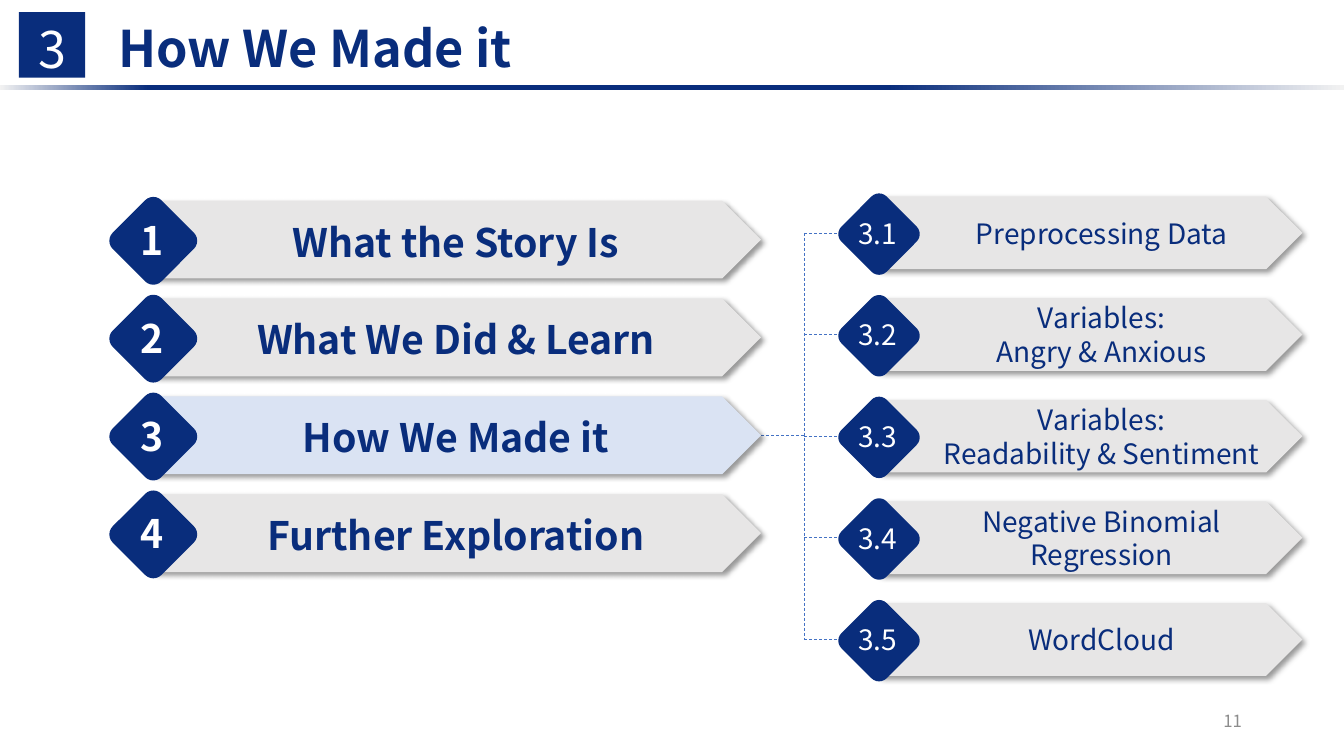
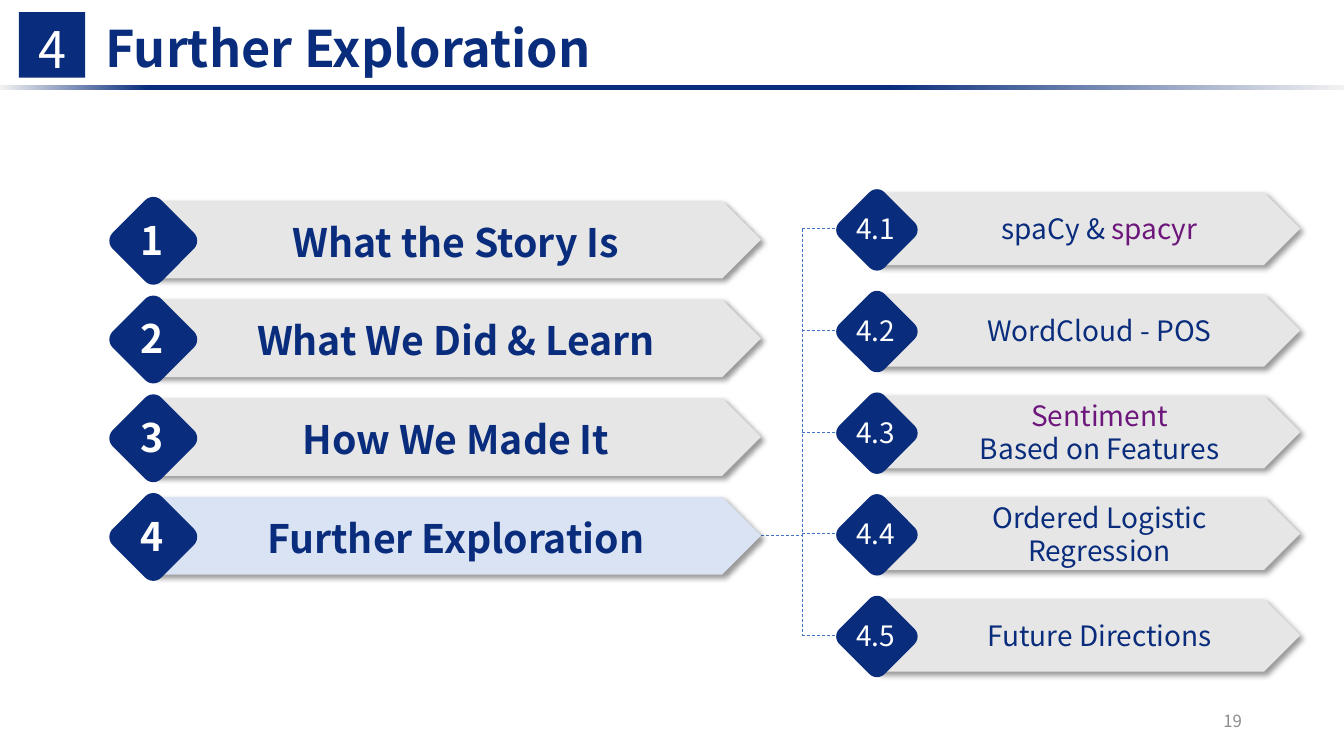
from lxml import etree
from pptx import Presentation
from pptx.dml.color import RGBColor
from pptx.enum.dml import MSO_LINE
from pptx.enum.shapes import MSO_CONNECTOR, MSO_SHAPE
from pptx.enum.text import MSO_ANCHOR, PP_ALIGN
from pptx.oxml.ns import qn
from pptx.util import Inches, Pt

RECTANGLE = MSO_SHAPE.RECTANGLE
ROUNDED = MSO_SHAPE.ROUNDED_RECTANGLE
PENTAGON = MSO_SHAPE.PENTAGON
STRAIGHT = MSO_CONNECTOR.STRAIGHT
DASH = MSO_LINE.DASH
MIDDLE = MSO_ANCHOR.MIDDLE
CENTER = PP_ALIGN.CENTER
RIGHT = PP_ALIGN.RIGHT

NAVY = RGBColor(0x09, 0x2D, 0x7C)
PALE_BLUE = RGBColor(0xDA, 0xE3, 0xF3)
LINE_BLUE = RGBColor(0x44, 0x72, 0xC4)
PURPLE = RGBColor(0x6D, 0x16, 0x7B)
GRAY = RGBColor(0xE7, 0xE6, 0xE6)
PALE_GRAY = RGBColor(0xF2, 0xF2, 0xF2)
PAGE_GRAY = RGBColor(0x8C, 0x8C, 0x8C)
WHITE = RGBColor(0xFF, 0xFF, 0xFF)

FONT = "Noto Sans CJK SC"
COLUMNS, ROWS = 160, 90
BAND_STOPS = ((0, PALE_GRAY), (11, NAVY), (66, NAVY), (100, PALE_GRAY))

CHAPTER_LEFT, CHAPTER_TOP = 18.25, 23.9
CHAPTER_WIDTH, CHAPTER_HEIGHT = 72.35, 9.25
SECTION_STEP = 12.1
SECTION_WIDTH, SECTION_HEIGHT = 50.4, 8.65
HIGHLIGHTED = {"spacyr", "Sentiment"}

AGENDAS = (
    {
        "number": 3, "title": "How We Made it", "title_center": 37.5, "page": "11",
        "chapters": ("What the Story Is", "What We Did & Learn",
                     "How We Made it", "Further Exploration"),
        "chapter_step": 11.65, "section_left": 104.65, "section_top": 23.4,
        "sections": (
            [["Preprocessing Data"]],
            [["Variables:"], ["Angry & Anxious"]],
            [["Variables:"], ["Readability & Sentiment"]],
            [["Negative Binomial Regression"]],
            [["WordCloud"]],
        ),
    },
    {
        "number": 4, "title": "Further Exploration", "title_center": 41.45, "page": "19",
        "chapters": ("What the Story Is", "What We Did & Learn",
                     "How We Made It", "Further Exploration"),
        "chapter_step": 11.75, "section_left": 104.4, "section_top": 22.9,
        "sections": (
            [["spaCy & ", "spacyr"]],
            [["WordCloud - POS"]],
            [["Sentiment"], ["Based on Features"]],
            [["Ordered Logistic Regression"]],
            [["Future Directions"]],
        ),
    },
)


class Deck:
    def __init__(self):
        self.presentation = Presentation()
        self.presentation.slide_width = Inches(13.33)
        self.presentation.slide_height = Inches(7.5)
        self.slide = None

    def x(self, columns):
        return round(self.presentation.slide_width * columns / COLUMNS)

    def y(self, rows):
        return round(self.presentation.slide_height * rows / ROWS)

    def shape(self, kind, left, top, width, height, color):
        shape = self.slide.shapes.add_shape(
            kind, self.x(left), self.y(top), self.x(width), self.y(height))
        shape.shadow.inherit = False
        shape.fill.solid()
        shape.fill.fore_color.rgb = color
        shape.line.fill.background()
        return shape

    def text(self, lines, center, middle, width, size, color,
             bold=False, align=CENTER, spacing=None):
        height = 9
        box = self.slide.shapes.add_textbox(
            self.x(center - width / 2), self.y(middle - height / 2),
            self.x(width), self.y(height))
        frame = box.text_frame
        frame.word_wrap = True
        frame.vertical_anchor = MIDDLE
        frame.margin_left = frame.margin_right = 0
        frame.margin_top = frame.margin_bottom = 0
        for index, pieces in enumerate(lines):
            paragraph = frame.add_paragraph() if index else frame.paragraphs[0]
            paragraph.alignment = align
            if spacing:
                paragraph.line_spacing = Pt(spacing)
            for piece in pieces:
                run = paragraph.add_run()
                run.text = piece
                run.font.name = FONT
                run.font.size = Pt(size)
                run.font.bold = bold
                run.font.color.rgb = PURPLE if piece in HIGHLIGHTED else color

    def connector(self, start, end):
        connector = self.slide.shapes.add_connector(
            STRAIGHT, self.x(start[0]), self.y(start[1]), self.x(end[0]), self.y(end[1]))
        connector.line.color.rgb = LINE_BLUE
        connector.line.width = Pt(0.5)
        connector.line.dash_style = DASH
        etree.SubElement(connector.element.spPr, qn("a:effectLst"))

    def band(self):
        band = self.shape(RECTANGLE, 0, 10.1, COLUMNS, 0.6, NAVY)
        band.fill.gradient()
        band.fill.gradient_angle = 0
        stops = band.element.spPr.find(".//" + qn("a:gsLst"))
        stops.clear()
        for position, color in BAND_STOPS:
            stop = etree.SubElement(stops, qn("a:gs"), pos=str(position * 1000))
            etree.SubElement(stop, qn("a:srgbClr"), val=str(color))

    def header(self, number, title, title_center, page):
        self.slide = self.presentation.slides.add_slide(self.presentation.slide_layouts[6])
        self.band()
        self.shape(RECTANGLE, 2.25, 1.45, 7.9, 7.8, NAVY)
        self.text([[str(number)]], 6.2, 5.8, 6.5, 36, WHITE)
        self.text([[title]], title_center, 5.65, 61.3, 36, NAVY, bold=True)
        self.text([[page]], 131.65, 85.8, 32.4, 12, PAGE_GRAY, align=RIGHT)

    def arrow(self, left, top, width, height, color):
        arrow = self.shape(PENTAGON, left, top, width, height, color)
        effects = arrow.element.spPr.find(qn("a:effectLst"))
        shadow = etree.SubElement(
            effects, qn("a:outerShdw"), blurRad=str(Pt(4)), dist=str(Pt(3)),
            dir="2700000", algn="tl", rotWithShape="0")
        shade = etree.SubElement(shadow, qn("a:srgbClr"), val="000000")
        etree.SubElement(shade, qn("a:alpha"), val="40000")

    def diamond(self, center, middle, side, label, size, bold=False):
        diamond = self.shape(
            ROUNDED, center - side / 2, middle + 0.15 - side / 2, side, side, NAVY)
        diamond.rotation = 45
        self.text([[label]], center - 0.15, middle, side, size, WHITE, bold=bold)

    def chapter(self, number, label, middle, color):
        self.arrow(CHAPTER_LEFT, middle - CHAPTER_HEIGHT / 2,
                   CHAPTER_WIDTH, CHAPTER_HEIGHT, color)
        self.diamond(CHAPTER_LEFT, middle, 8.2, str(number), 28, bold=True)
        self.text([[label]], CHAPTER_LEFT + CHAPTER_WIDTH / 2 - 0.15, middle + 0.2,
                  56, 28, NAVY, bold=True)

    def section(self, number, lines, left, middle):
        self.arrow(left, middle - SECTION_HEIGHT / 2, SECTION_WIDTH, SECTION_HEIGHT, GRAY)
        self.diamond(left, middle, 7.6, number, 20)
        self.text(lines, left + 26.5, middle, 39.7, 20, NAVY, spacing=24)

    def tree(self, chapter_middle, section_left, section_middles):
        trunk = section_left - 8.9
        self.connector((CHAPTER_LEFT + CHAPTER_WIDTH, chapter_middle), (trunk, chapter_middle))
        self.connector((trunk, section_middles[0]), (trunk, section_middles[-1]))
        for middle in section_middles:
            self.connector((trunk, middle), (section_left - 3.7, middle))

    def agenda(self, number, title, title_center, page, chapters, chapter_step,
               section_left, section_top, sections):
        self.header(number, title, title_center, page)
        chapter_middles = [CHAPTER_TOP + CHAPTER_HEIGHT / 2 + chapter_step * index
                           for index in range(len(chapters))]
        section_middles = [section_top + SECTION_HEIGHT / 2 + SECTION_STEP * index
                           for index in range(len(sections))]
        self.tree(chapter_middles[number - 1], section_left, section_middles)
        for index, (label, middle) in enumerate(zip(chapters, chapter_middles), 1):
            self.chapter(index, label, middle, PALE_BLUE if index == number else GRAY)
        for index, (lines, middle) in enumerate(zip(sections, section_middles), 1):
            self.section(f"{number}.{index}", lines, section_left, middle)


def main():
    deck = Deck()
    for agenda in AGENDAS:
        deck.agenda(**agenda)
    deck.presentation.save("out.pptx")


if __name__ == "__main__":
    main()
